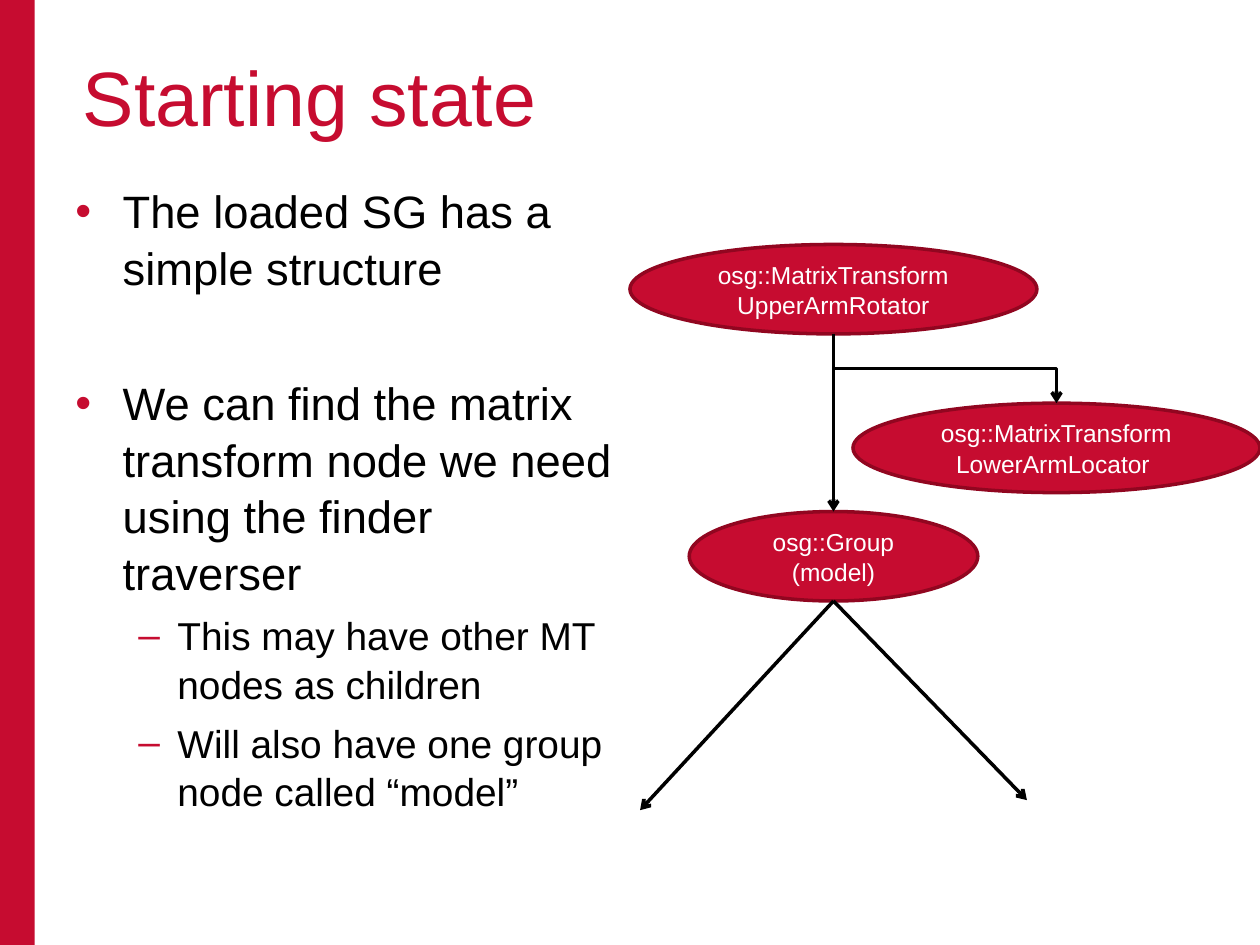
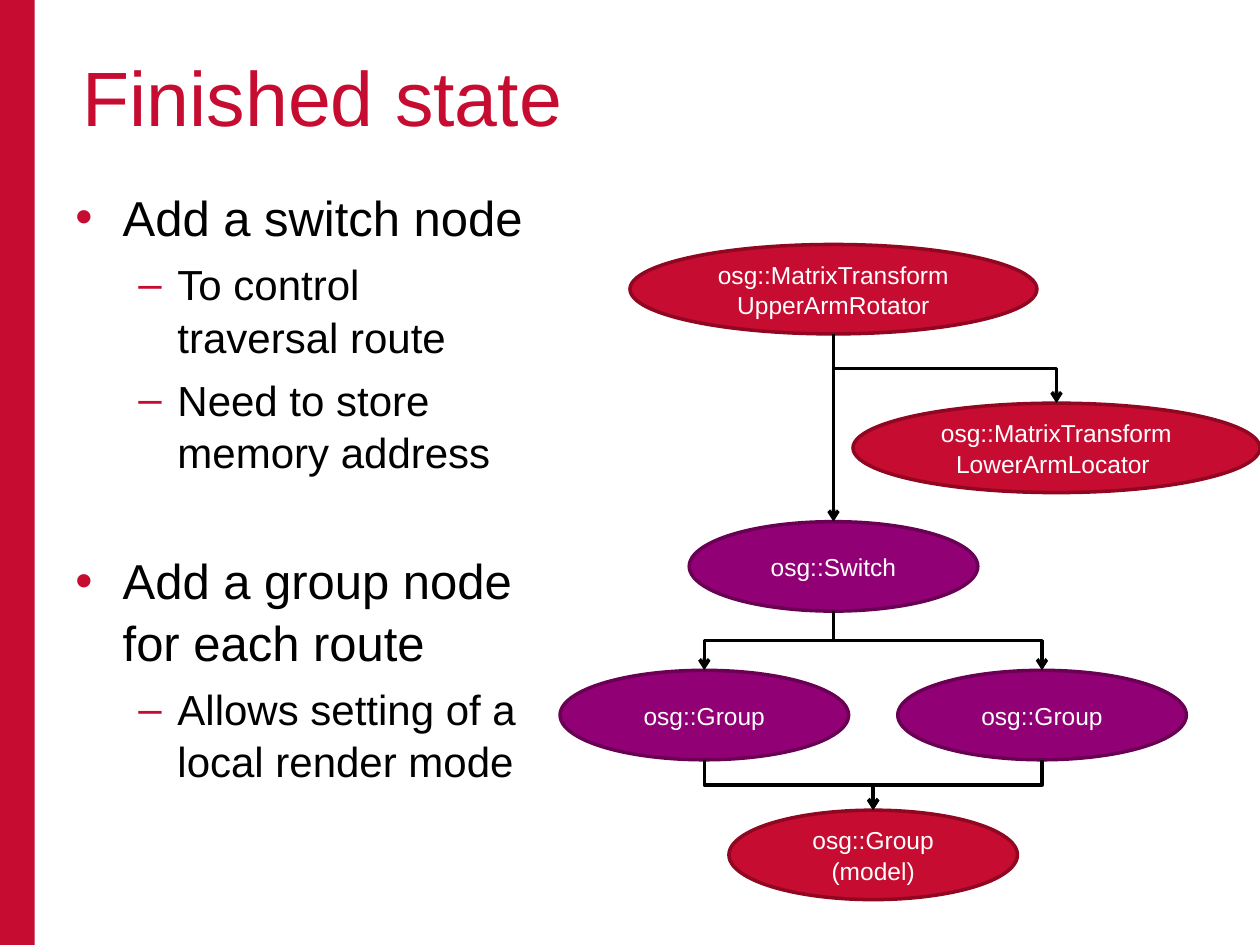
from dataclasses import dataclass

from lxml.etree import SubElement
from pptx import Presentation
from pptx.dml.color import RGBColor
from pptx.enum.shapes import MSO_CONNECTOR as Link, MSO_SHAPE as Shape
from pptx.enum.text import MSO_ANCHOR as Anchor, PP_ALIGN as Align
from pptx.oxml.ns import qn
from pptx.util import Inches, Pt

COLS, ROWS = 100, 75  # square grid cells
CELL = Inches(10) // COLS
RED, PLUM, BLACK, WHITE = "C60C30", "920075", "000000", "FFFFFF"
EDGE = {RED: "910620", PLUM: "6A0054"}
FONT = "Arial"
LEADING = 1.04
WIDE, SMALL, TALL = 32.3, 22.9, 7.1


@dataclass(frozen=True)
class Node:
    text: str
    mid: float
    top: float
    width: float = SMALL
    fill: str = RED

    @property
    def base(self) -> float:
        return self.top + TALL


@dataclass(frozen=True)
class Level:
    mark: str
    left: float
    hang: float
    before: float


@dataclass(frozen=True)
class Item:
    text: str
    depth: int = 0
    gap: float = 0  # extra points above


@dataclass(frozen=True)
class Body:
    top: float
    width: float
    sizes: tuple[float, float]
    items: tuple[Item, ...]


LEVELS = (Level("•", 3.75, 3.75, 7), Level("–", 8.1, 3.1, 6))

UPPER = Node("osg::MatrixTransform\nUpperArmRotator", 66.15, 19.4, WIDE)
LOWER = Node("osg::MatrixTransform\nLowerArmLocator ", 83.85, 32, WIDE)
MODEL = "osg::Group\n(model)"


def color(code: str) -> RGBColor:
    return RGBColor.from_string(code)


def grid(*cells: float) -> list[int]:
    return [round(c * CELL) for c in cells]


def style(para, size: float, code: str) -> None:
    for run in para.runs:
        run.font.name = FONT
        run.font.size = Pt(size)
        run.font.color.rgb = color(code)


def add_band(slide) -> None:
    band = slide.shapes.add_shape(Shape.RECTANGLE, *grid(0, 0, 2.75, ROWS))
    band.shadow.inherit = False
    band.fill.solid()
    band.fill.fore_color.rgb = color(RED)
    band.line.fill.background()


def add_title(slide, text: str) -> None:
    frame = slide.shapes.add_textbox(*grid(5.6, 3.4, 89.4, 16)).text_frame
    frame.word_wrap = True
    frame.text = text
    style(frame.paragraphs[0], 44, RED)


def add_mark(para, level: Level) -> None:
    """Give the paragraph a hanging red bullet."""
    props = para._p.get_or_add_pPr()
    left, hang = grid(level.left, level.hang)
    props.set("marL", str(left))
    props.set("indent", str(-hang))
    tint = SubElement(props, qn("a:buClr"))
    SubElement(tint, qn("a:srgbClr"), val=RED)
    SubElement(props, qn("a:buFont"), typeface=FONT)
    SubElement(props, qn("a:buChar"), char=level.mark)


def add_body(slide, body: Body) -> None:
    box = slide.shapes.add_textbox(*grid(5, body.top, body.width, 69 - body.top))
    frame = box.text_frame
    frame.word_wrap = True
    frame.text = "\n".join(item.text for item in body.items)
    for i, (para, item) in enumerate(zip(frame.paragraphs, body.items)):
        level = LEVELS[item.depth]
        add_mark(para, level)
        para.level = item.depth
        para.line_spacing = LEADING
        para.space_before = Pt(level.before + item.gap if i else 0)
        style(para, body.sizes[item.depth], BLACK)


def add_node(slide, node: Node) -> None:
    left = node.mid - node.width / 2
    oval = slide.shapes.add_shape(Shape.OVAL, *grid(left, node.top, node.width, TALL))
    oval.shadow.inherit = False
    oval.fill.solid()
    oval.fill.fore_color.rgb = color(node.fill)
    oval.line.color.rgb = color(EDGE[node.fill])
    oval.line.width = Pt(2)
    frame = oval.text_frame
    frame.word_wrap = True
    frame.vertical_anchor = Anchor.MIDDLE
    frame.text = node.text
    for para in frame.paragraphs:
        para.alignment = Align.CENTER
        para.line_spacing = LEADING
        style(para, 14, WHITE)


def add_arrow(slide, kind: Link, *ends: float):
    line = slide.shapes.add_connector(kind, *grid(*ends))
    line.line.color.rgb = color(BLACK)
    line.line.width = Pt(2)
    SubElement(line.line._get_or_add_ln(), qn("a:tailEnd"), type="arrow")
    SubElement(line._element.spPr, qn("a:effectLst"))
    return line


def add_elbow(slide, start: Node, end: Node) -> None:
    """Run down, across and down: a bent connector turned a quarter."""
    run, drop = end.mid - start.mid, end.top - start.base
    mid, half = (start.mid + end.mid) / 2, (start.base + end.top) / 2
    left, top = mid - drop / 2, half - abs(run) / 2
    line = add_arrow(slide, Link.ELBOW, left, top, left + drop, top + abs(run))
    frame = line._element.spPr.find(qn("a:xfrm"))
    frame.set("rot", str((270 if run > 0 else 90) * 60000))
    if run > 0:
        frame.set("flipH", "1")


def add_slide(deck, title: str, body: Body, nodes: list[Node],
              links: list[tuple[Node, Node]]):
    slide = deck.slides.add_slide(deck.slide_layouts[6])
    add_band(slide)
    add_title(slide, title)
    add_body(slide, body)
    for node in nodes:
        add_node(slide, node)
    for start, end in links:
        add_elbow(slide, start, end)
    return slide


def add_start(deck) -> None:
    body = Body(13.9, 45, (25.9, 22.2), (
        Item("The loaded SG has a simple structure"),
        Item("We can find the matrix transform node we need using the finder traverser",
             gap=38),
        Item("This may have other MT nodes as children", 1),
        Item("Will also have one group node called “model”", 1),
    ))
    model = Node(MODEL, UPPER.mid, 40.6)
    slide = add_slide(deck, "Starting state", body, [UPPER, model, LOWER],
                      [(UPPER, model), (UPPER, LOWER)])
    for tip in ((50.8, 64.3), (81.5, 63.5)):
        add_arrow(slide, Link.STRAIGHT, model.mid, model.base, *tip)


def add_finish(deck) -> None:
    body = Body(14.2, 38.1, (28, 24), (
        Item("Add a switch node"),
        Item("To control traversal route", 1),
        Item("Need to store memory address", 1),
        Item("Add a group node for each route", gap=34),
        Item("Allows setting of a local render mode", 1),
    ))
    switch = Node("osg::Switch", UPPER.mid, 41.4, fill=PLUM)
    routes = [Node("osg::Group", mid, 53.2, fill=PLUM) for mid in (55.9, 82.7)]
    model = Node(MODEL, 69.3, 64.3)
    links = [(UPPER, switch), (UPPER, LOWER)]
    for route in routes:
        links += [(switch, route), (route, model)]
    add_slide(deck, "Finished state", body,
              [UPPER, model, LOWER, switch, *routes], links)


def main() -> None:
    deck = Presentation()
    deck.slide_width, deck.slide_height = grid(COLS, ROWS)
    add_start(deck)
    add_finish(deck)
    deck.save("out.pptx")


if __name__ == "__main__":
    main()
